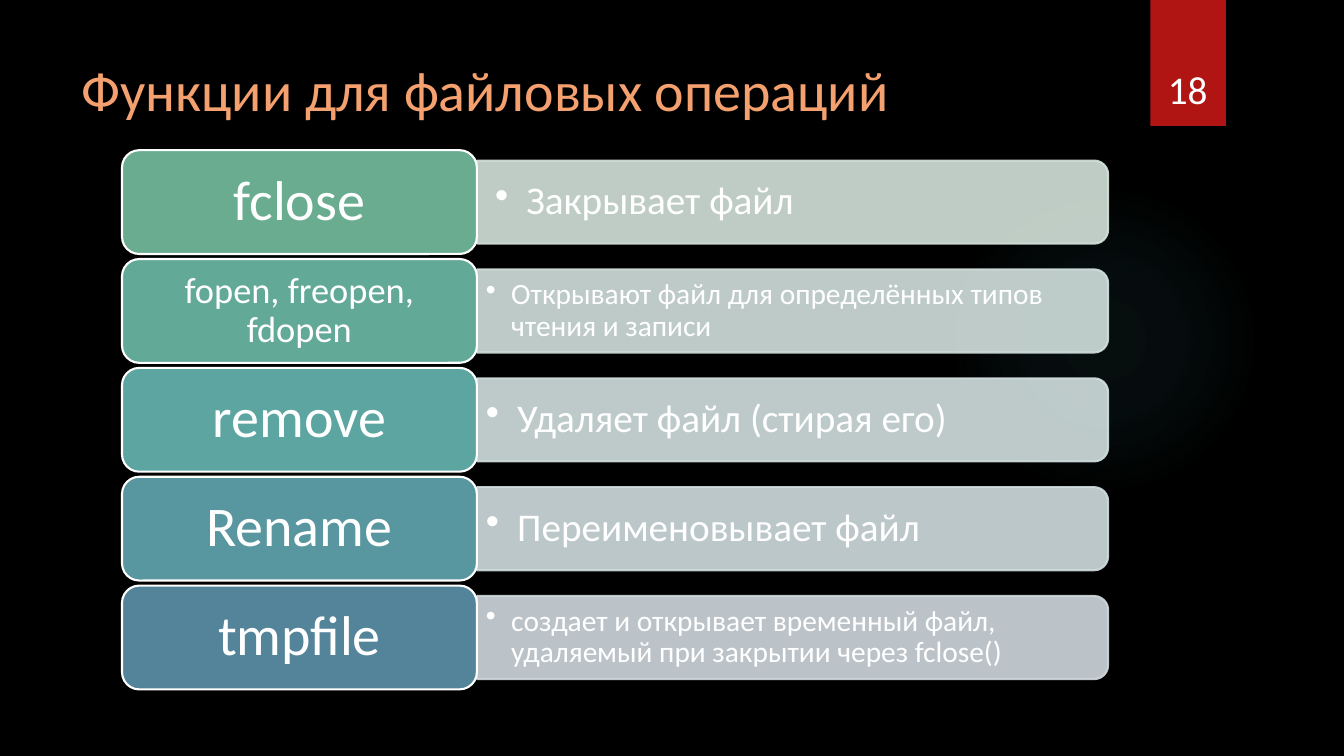
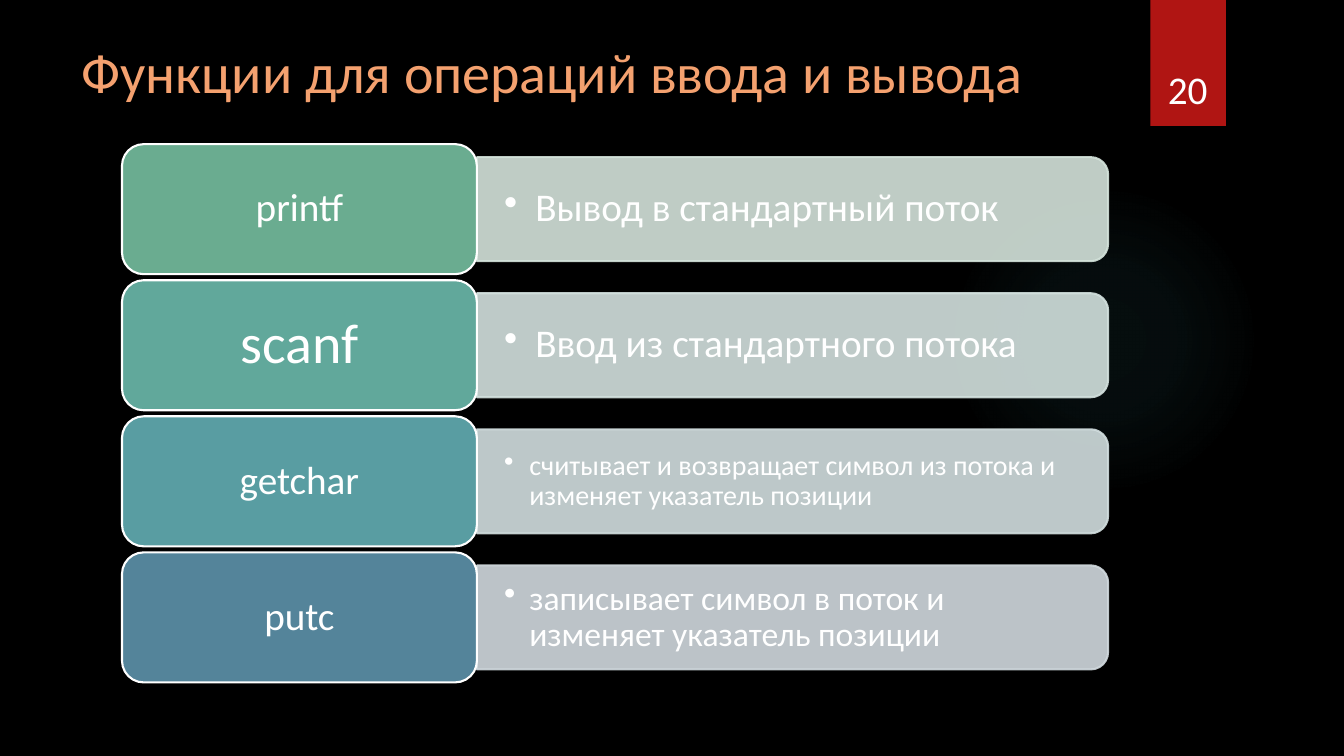
from pptx import Presentation
from pptx.dml.color import RGBColor
from pptx.enum import shapes, text as txt
from pptx.oxml import ns, parse_xml
from pptx.util import Inches, Pt

FORM = shapes.MSO_SHAPE
FONT = "Calibri"
WHITE, BLACK, RED, PEACH, TEAL = "FFFFFF", "000000", "B01513", "F4A16F", "50B9C1"
LEFT, TAG, BAR = 1.21, 3.52, 6.26

FILES = [
    ("fclose", 40, "6AAC90", "Закрывает файл", 28, "D4E3DB", 0.18),
    ("fopen, freopen, fdopen", 26, "63A998",
     "Открывают файл для определённых типов чтения и записи", 21, "D3E1DE", 0.09),
    ("remove", 40, "5DA5A1", "Удаляет файл (стирая его)", 28, "D2E0DF", 0.09),
    ("Rename", 40, "5897A0", "Переименовывает файл", 28, "D1DDDF", 0.09),
    ("tmpfile", 40, "54849A",
     "создает и открывает временный файл, удаляемый при закрытии через fclose()",
     21, "D1D9DE", 0.09),
]
STREAMS = [
    ("printf", 28, "6AAC90", "Вывод в стандартный поток", 28, "D4E3DB", 0.27),
    ("scanf", 40, "61A89B", "Ввод из стандартного потока", 28, "D3E1DE", 0.27),
    ("getchar", 28, "599DA2",
     "считывает и возвращает символ из потока и изменяет указатель позиции",
     20, "D2DEDF", 0.27),
    ("putc", 28, "54849A",
     "записывает символ в поток и изменяет указатель позиции", 24, "D1D9DE", 0.27),
]


def hue(code):
    return RGBColor.from_string(code)


def fade(fill, alpha):
    for color in fill.iter(ns.qn("a:srgbClr")):
        color.append(parse_xml(f'<a:alpha {ns.nsdecls("a")} val="{alpha * 1000}"/>'))


def block(slide, form, box, fill, line=None):
    shape = slide.shapes.add_shape(form, *map(Inches, box))
    shape.shadow.inherit = False
    shape.fill.solid()
    shape.fill.fore_color.rgb = hue(fill)
    if line:
        shape.line.color.rgb = hue(line)
        shape.line.width = Pt(1.5)
    else:
        shape.line.fill.background()
    return shape


def label(slide, box, words, **style):
    write(slide.shapes.add_textbox(*map(Inches, box)), words, **style)


def write(shape, words, size=28, color=WHITE, align="LEFT", anchor="MIDDLE",
          pad=(0.1, 0.05), space=1.0, hang=0):
    frame = shape.text_frame
    frame.word_wrap = True
    frame.vertical_anchor = getattr(txt.MSO_ANCHOR, anchor)
    frame.margin_left = frame.margin_right = Inches(pad[0])
    frame.margin_top = frame.margin_bottom = Inches(pad[1])
    para = frame.paragraphs[0]
    para.alignment = getattr(txt.PP_ALIGN, align)
    para.line_spacing = space
    run = para.add_run()
    run.text = words
    run.font.name = FONT
    run.font.size = Pt(size)
    run.font.color.rgb = hue(color)
    if hang:
        props = para._p.get_or_add_pPr()
        props.set("marL", str(Inches(hang)))
        props.set("indent", str(-Inches(hang)))
        props.append(parse_xml(f'<a:buChar {ns.nsdecls("a")} char="•"/>'))


def glow(slide):
    shape = block(slide, FORM.OVAL, (9.41, 1.83, 3.08, 3.08), TEAL)
    stops = "".join(
        f'<a:gs pos="{pos * 1000}"><a:srgbClr val="{TEAL}">'
        f'<a:alpha val="{alpha * 1000}"/></a:srgbClr></a:gs>'
        for pos, alpha in ((0, 7), (36, 6), (69, 0)))
    props = shape._element.spPr
    solid = props.find(ns.qn("a:solidFill"))
    props.replace(solid, parse_xml(
        f'<a:gradFill {ns.nsdecls("a")}><a:gsLst>{stops}</a:gsLst>'
        '<a:path path="circle"><a:fillToRect l="50000" t="50000" r="50000" b="50000"/>'
        '</a:path></a:gradFill>'))


def start(deck, title, top, number):
    slide = deck.slides.add_slide(deck.slide_layouts[6])
    glow(slide)
    block(slide, FORM.RECTANGLE, (11.41, 0, 0.75, 1.25), RED)
    label(slide, (0.71, top, 10.29, 0.84), title, size=40, color=PEACH, anchor="TOP")
    label(slide, (11.32, 0.32, 0.92, 0.84), number, align="CENTER", anchor="BOTTOM")
    return slide


def row(slide, top, high, name, size, dark, note, small, pale, pad):
    deep = high * 0.8
    mid = top + high / 2
    edge = LEFT + TAG
    bar = block(slide, FORM.ROUND_2_SAME_RECTANGLE,
                (edge + (BAR - deep) / 2, mid - BAR / 2, deep, BAR), pale, pale)
    bar.rotation = 90
    fade(bar._element.spPr, 90)
    label(slide, (edge, mid - deep * 0.45, 6.22, deep * 0.9), note, size=small,
          pad=(pad, pad / 2), space=0.9, hang=0.31 if small == 28 else 0.25)
    tag = block(slide, FORM.ROUNDED_RECTANGLE, (LEFT, top, TAG, high), dark, WHITE)
    write(tag, name, size=size, align="CENTER", pad=(size / 240, size / 480), space=0.9)


def table(slide, rows, top, high, step):
    for index, item in enumerate(rows):
        row(slide, top + index * step, high, *item)


def main():
    deck = Presentation()
    deck.slide_width, deck.slide_height = Inches(13.33), Inches(7.5)
    back = deck.slide_master.background.fill
    back.solid()
    back.fore_color.rgb = hue(BLACK)
    slide = start(deck, "Функции для файловых операций", 0.5, "18")
    table(slide, FILES, 1.49, 1.03, 1.08)
    slide = start(deck, "Функции для операций ввода и вывода", 0.32, "20")
    table(slide, STREAMS, 1.43, 1.29, 1.35)
    deck.save("out.pptx")


if __name__ == "__main__":
    main()
